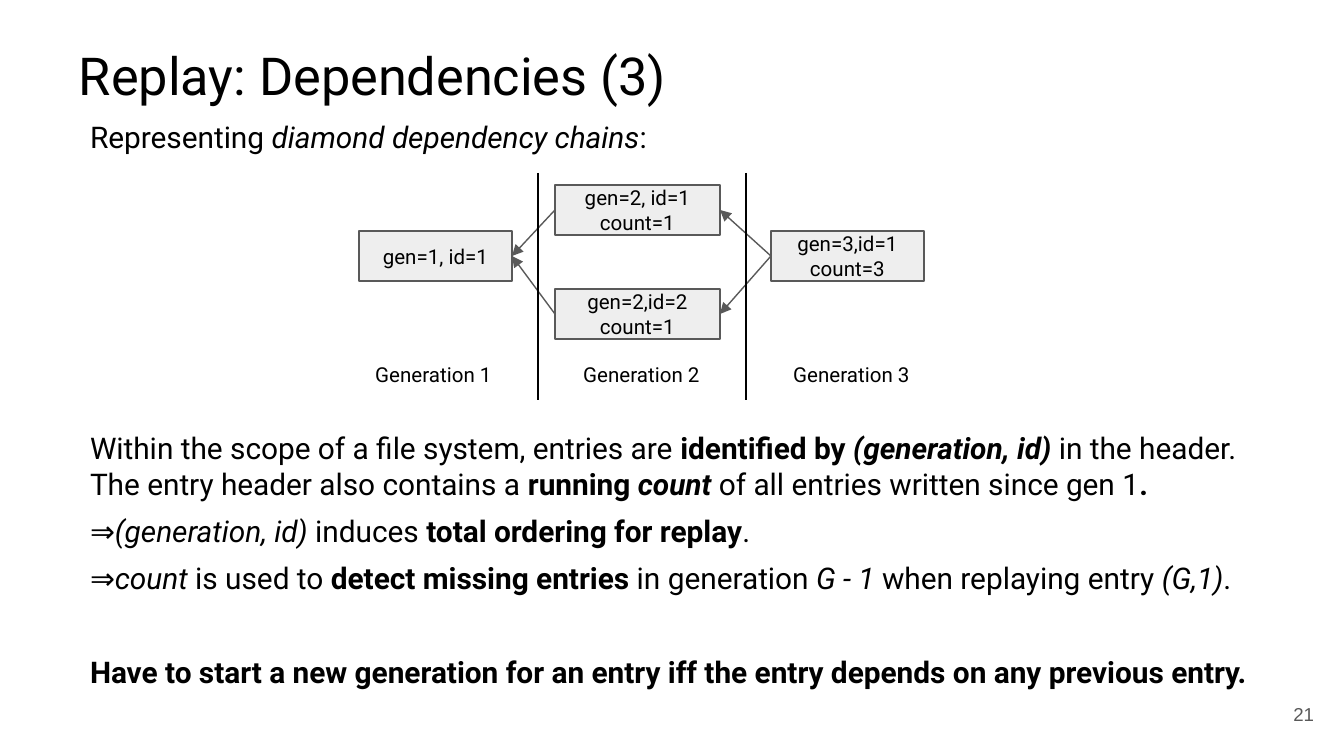
from lxml.etree import SubElement
from pptx import Presentation
from pptx.dml.color import RGBColor
from pptx.enum.shapes import MSO_CONNECTOR, MSO_SHAPE
from pptx.enum.text import MSO_ANCHOR, MSO_AUTO_SIZE, PP_ALIGN
from pptx.oxml.ns import qn
from pptx.util import Emu, Pt

PX = 914400 / 134.4
LEFT, CENTER, RIGHT = PP_ALIGN.LEFT, PP_ALIGN.CENTER, PP_ALIGN.RIGHT


def px(*lengths):
    return [Emu(round(length * PX)) for length in lengths]


def write(holder, paragraphs, size, align=LEFT, anchor=MSO_ANCHOR.TOP, font="Roboto", color="000000"):
    frame = holder.text_frame
    frame.word_wrap = True
    frame.auto_size = MSO_AUTO_SIZE.NONE
    frame.vertical_anchor = anchor
    frame.margin_left, frame.margin_top, frame.margin_right, frame.margin_bottom = px(13, 13, 13, 13)
    for index, (space_before, runs) in enumerate(paragraphs):
        paragraph = frame.add_paragraph() if index else frame.paragraphs[0]
        paragraph.alignment = align
        paragraph.space_before = Pt(space_before)
        properties = paragraph._p.get_or_add_pPr()
        properties.set("marL", "0")
        properties.set("indent", "0")
        SubElement(properties, qn("a:buNone"))
        paragraph.font.size = Pt(size)
        paragraph.font.name = font
        paragraph.font.color.rgb = RGBColor.from_string(color)
        for words, style in runs:
            if words == "\n":
                paragraph.add_line_break()
                continue
            run = paragraph.add_run()
            run.text = words
            if "b" in style:
                run.font.bold = True
            if "i" in style:
                run.font.italic = True


deck = Presentation()
deck.slide_width, deck.slide_height = px(1344, 756)
slide = deck.slides.add_slide(deck.slide_layouts[1])
shapes = slide.shapes

title = shapes.title
title.left, title.top, title.width, title.height = px(66, 30, 1193, 118)
write(title, [(0, [("Replay: Dependencies (3)", "")])], 28)

intro = shapes.add_textbox(*px(77, 106, 1132, 67))
write(intro, [(0, [("Representing ", ""), ("diamond dependency chains", "i"), (":", "")])], 16)

explanation = slide.placeholders[1]
explanation.left, explanation.top, explanation.width, explanation.height = px(77, 417, 1189, 301)
write(explanation, [
    (0, [("Within the scope of a file system, entries are ", ""), ("identified by ", "b"),
         ("(generation, id)", "bi"), (" in the header.", ""), ("\n", ""),
         ("The entry header also contains a ", ""), ("running ", "b"), ("count ", "bi"),
         ("of all entries written since gen 1", ""), (".", "b")]),
    (6, [("⇒", ""), ("(generation, id)", "i"), (" induces ", ""),
         ("total ordering for replay", "b"), (".", "")]),
    (6, [("⇒", ""), ("count", "i"), (" is used to ", ""), ("detect missing entries", "b"),
         (" in generation ", ""), ("G - 1", "i"), (" when replaying entry ", ""),
         ("(G,1)", "i"), (".", "")]),
    (31, [("Have to start a new generation for an entry iff the entry depends on any previous entry.", "b")]),
], 16)

entries = []
for left, top, width, lines in [
    (359, 231, 153, ["gen=1, id=1"]),
    (555, 185, 165, ["gen=2, id=1", "count=1"]),
    (555, 289, 165, ["gen=2,id=2", "count=1"]),
    (771, 231, 153, ["gen=3,id=1", "count=3"]),
]:
    entry = shapes.add_shape(MSO_SHAPE.RECTANGLE, *px(left, top, width, 50))
    entry.shadow.inherit = False
    entry.fill.solid()
    entry.fill.fore_color.rgb = RGBColor.from_string("EEEEEE")
    entry.line.color.rgb = RGBColor.from_string("595959")
    entry.line.width = Pt(0.75)
    write(entry, [(0, [(line, "")]) for line in lines], 11, CENTER, MSO_ANCHOR.MIDDLE)
    entries.append(entry)

first, upper, lower, last = entries
dependencies = []
for dependent, dependency in [(upper, first), (lower, first), (last, upper), (last, lower)]:
    arrow = shapes.add_connector(MSO_CONNECTOR.STRAIGHT, 0, 0, 0, 0)
    arrow.begin_connect(dependent, 1)
    arrow.end_connect(dependency, 3)
    dependencies.append((arrow, "595959"))

dividers = [
    (shapes.add_connector(MSO_CONNECTOR.STRAIGHT, *px(x, 173, x, 400)), "000000")
    for x in (538, 746)
]
for connector, color in dependencies + dividers:
    connector.line.color.rgb = RGBColor.from_string(color)
    connector.line.width = Pt(0.75)
    SubElement(connector._element.spPr, qn("a:effectLst"))
for arrow, color in dependencies:
    SubElement(arrow.line._get_or_add_ln(), qn("a:tailEnd"), type="triangle")

for number, left in enumerate((357, 565, 775), 1):
    generation = shapes.add_textbox(*px(left, 359, 153, 30))
    write(generation, [(0, [(f"Generation {number}", "")])], 11, CENTER, MSO_ANCHOR.MIDDLE)

page_number = shapes.add_textbox(*px(1246, 685, 81, 58))
write(page_number, [(0, [("21", "")])], 10, RIGHT, MSO_ANCHOR.MIDDLE, "Arial", "595959")

deck.save("out.pptx")
